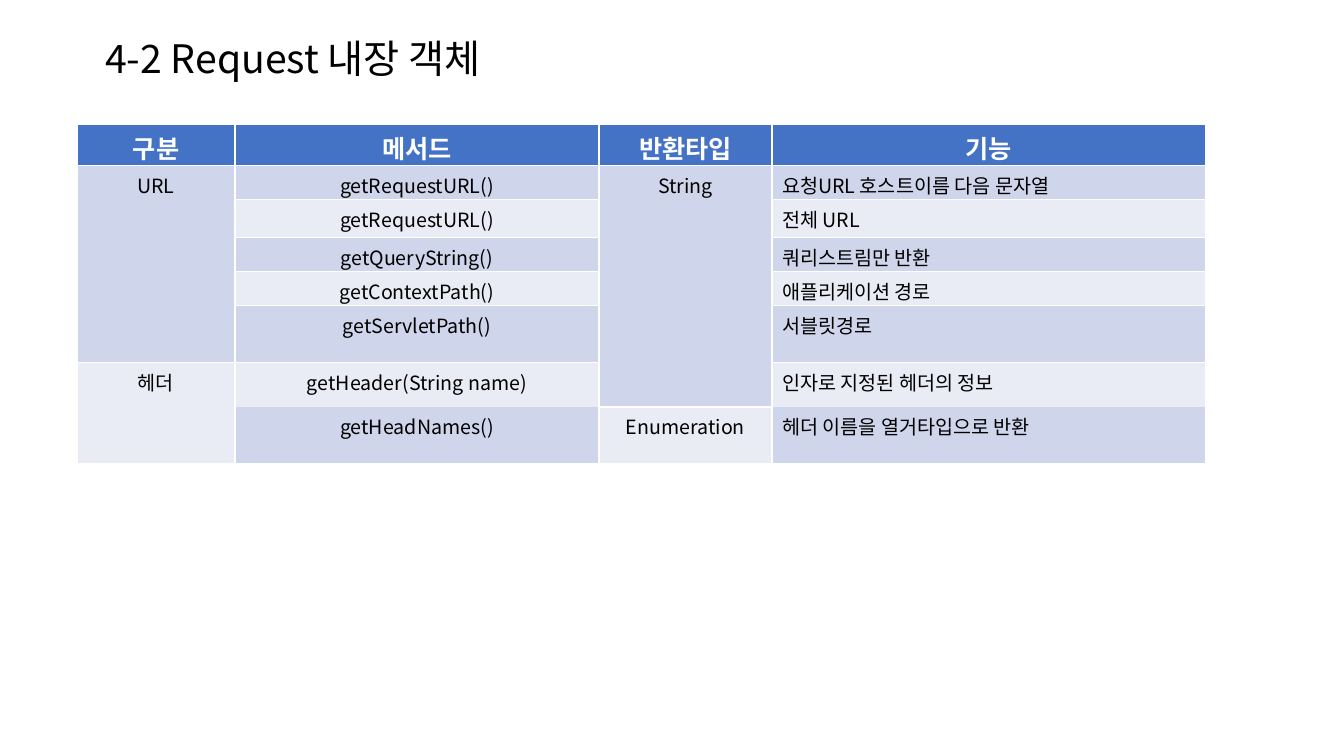
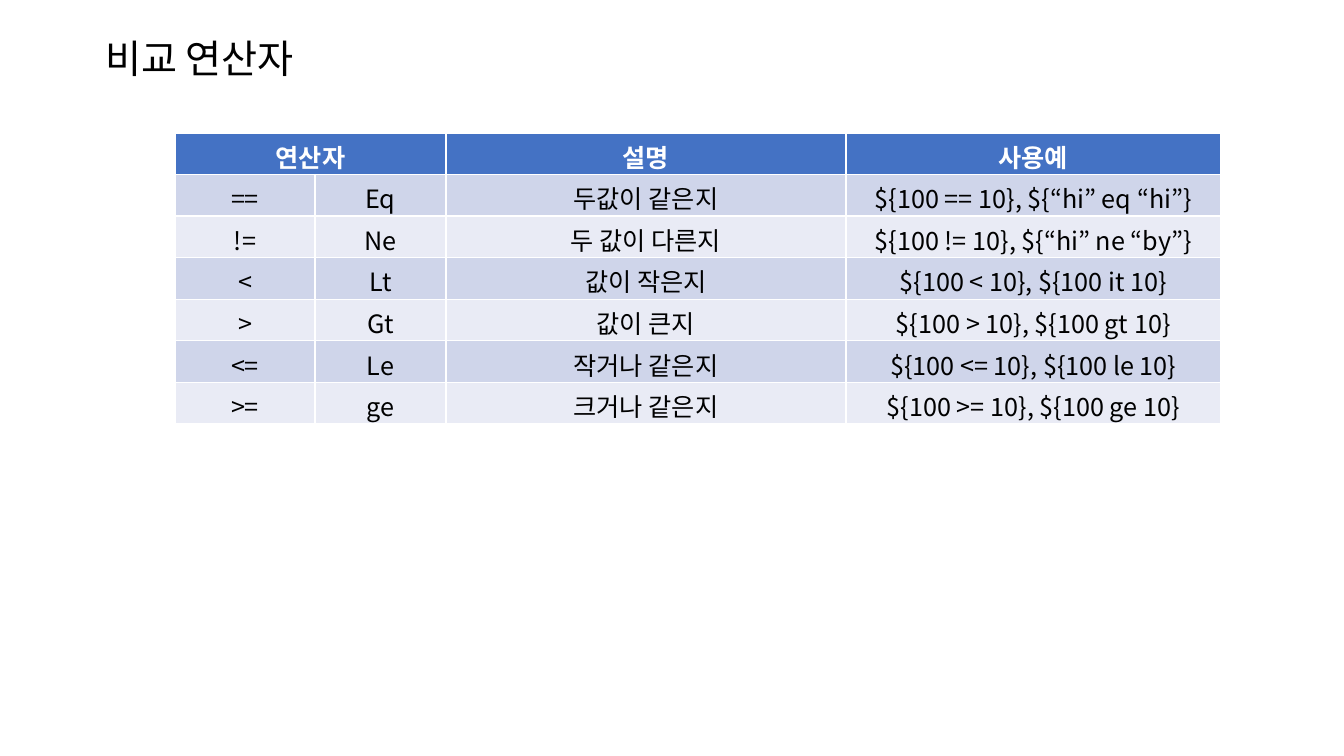
from pptx import Presentation
from pptx import util as u
from pptx.dml.color import RGBColor
from pptx.enum import text as t
from pptx.oxml.ns import qn

# Shared style
PX = 914400 / 100.8
FONT = "Noto Sans CJK KR"
BLACK = RGBColor(0x00, 0x00, 0x00)
WHITE = RGBColor(0xFF, 0xFF, 0xFF)
HEADER_BLUE = RGBColor(0x44, 0x72, 0xC4)
BANDS = (RGBColor(0xCF, 0xD5, 0xEA), RGBColor(0xE9, 0xEB, 0xF5))
LEFT, CENTER = t.PP_ALIGN.LEFT, t.PP_ALIGN.CENTER


def px(length):
    return u.Emu(round(length * PX))


def write_text(frame, content, size=18, color=BLACK, bold=False, align=LEFT):
    paragraph = frame.paragraphs[0]
    paragraph.alignment = align
    run = paragraph.add_run()
    run.text = content
    font = run.font
    font.name, font.size, font.bold = FONT, u.Pt(size), bold
    font.color.rgb = color
    # Hangul takes its typeface from the East Asian slot
    east_asian = run._r.get_or_add_rPr().makeelement(qn("a:ea"), {"typeface": FONT})
    font._element.find(qn("a:latin")).addnext(east_asian)


class Deck:
    """Holds the style and the current slide."""

    def __init__(self):
        self.prs = Presentation()
        self.prs.slide_width, self.prs.slide_height = px(1344), px(756)
        self.slide = None

    def add_slide(self, heading):
        self.slide = self.prs.slides.add_slide(self.prs.slide_layouts[5])
        title = self.slide.shapes.title
        title.left, title.top, title.width, title.height = map(px, (95, 32, 1112, 57))
        frame = title.text_frame
        frame.word_wrap = True
        frame.auto_size = t.MSO_AUTO_SIZE.NONE
        frame.vertical_anchor = t.MSO_ANCHOR.MIDDLE
        frame.paragraphs[0].line_spacing = 0.9
        write_text(frame, heading, size=28)

    def add_table(self, left, top, widths, heights, rows, merges=(),
                  body_size=18, left_columns=()):
        """merges lists (row, column, last row, last column)."""
        table = self.slide.shapes.add_table(
            len(rows), len(widths), px(left), px(top),
            px(sum(widths)), px(sum(heights))).table
        for column, width in zip(table.columns, widths):
            column.width = px(width)
        for row, height in zip(table.rows, heights):
            row.height = px(height)
        for r, c, last_r, last_c in merges:
            table.cell(r, c).merge(table.cell(last_r, last_c))
        for r, contents in enumerate(rows):
            for c, content in enumerate(contents):
                cell = table.cell(r, c)
                cell.margin_bottom = 0
                cell.fill.solid()
                cell.fill.fore_color.rgb = BANDS[(r - 1) % 2] if r else HEADER_BLUE
                if not content:
                    continue
                if r == 0:
                    write_text(cell.text_frame, content, color=WHITE,
                               bold=True, align=CENTER)
                else:
                    write_text(cell.text_frame, content, size=body_size,
                               align=LEFT if c in left_columns else CENTER)


def main():
    deck = Deck()

    # Request methods
    deck.add_slide("4-2 Request 내장 객체")
    request_methods = [
        ("구분", "메서드", "반환타입", "기능"),
        ("URL", "getRequestURL()", "String", "요청URL 호스트이름 다음 문자열"),
        ("", "getRequestURL()", "", "전체 URL"),
        ("", "getQueryString()", "", "쿼리스트림만 반환"),
        ("", "getContextPath()", "", "애플리케이션 경로"),
        ("", "getServletPath()", "", "서블릿경로"),
        ("헤더", "getHeader(String name)", "", "인자로 지정된 헤더의 정보"),
        ("", "getHeadNames()", "", "헤더 이름을 열거타입으로 반환"),
        ("", "", "Enumeration", ""),
    ]
    deck.add_table(
        77, 124, (158, 364, 173, 434), (40, 33, 38, 34, 34, 57, 45, 0, 57),
        request_methods, body_size=14, left_columns=(3,),
        merges=((1, 0, 5, 0), (1, 2, 7, 2), (6, 0, 8, 0),
                (7, 1, 8, 1), (7, 3, 8, 3)))

    # Comparison operators
    deck.add_slide("비교 연산자")
    comparison_operators = [
        ("연산자", "", "설명", "사용예"),
        ("==", "Eq", "두값이 같은지", "${100 == 10}, ${“hi” eq “hi”}"),
        ("!=", "Ne", "두 값이 다른지", "${100 != 10}, ${“hi” ne “by”}"),
        ("<", "Lt", "값이 작은지", "${100 < 10}, ${100 it 10}"),
        (">", "Gt", "값이 큰지", "${100 > 10}, ${100 gt 10}"),
        ("<=", "Le", "작거나 같은지", "${100 <= 10}, ${100 le 10}"),
        (">=", "ge", "크거나 같은지", "${100 >= 10}, ${100 ge 10}"),
    ]
    deck.add_table(
        175, 133, (140, 131, 400, 375), [41] * len(comparison_operators),
        comparison_operators, merges=((0, 0, 0, 1),))

    deck.prs.save("out.pptx")


if __name__ == "__main__":
    main()
